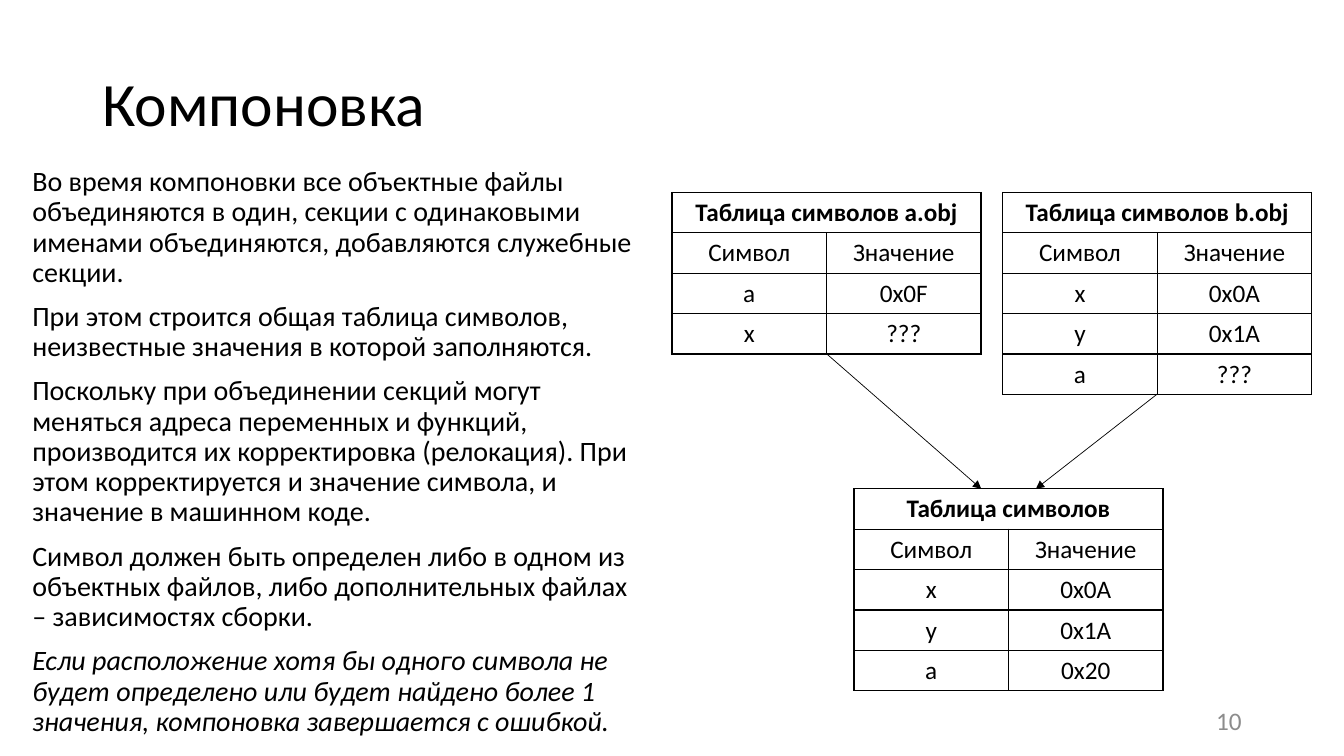
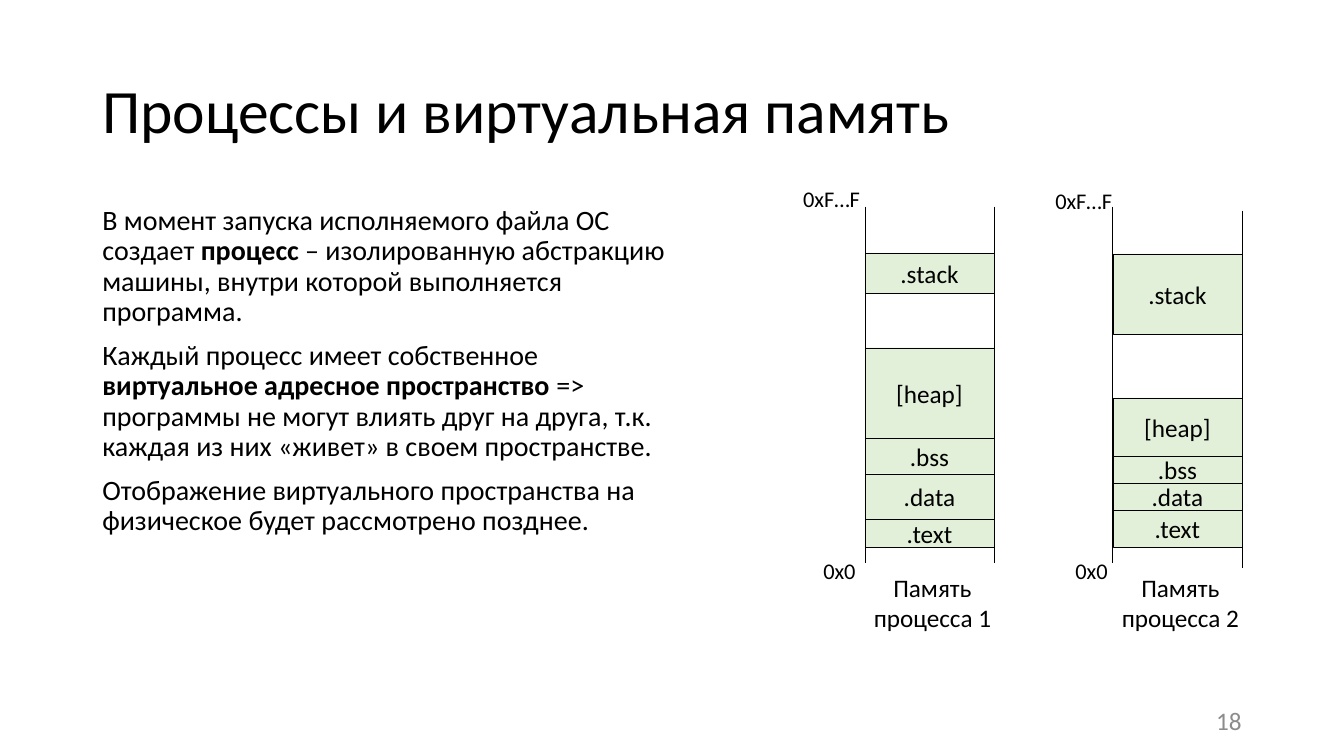
from lxml.etree import SubElement
from pptx import Presentation
from pptx.dml.color import RGBColor
from pptx.enum.shapes import MSO_CONNECTOR, MSO_SHAPE
from pptx.enum.text import MSO_ANCHOR, MSO_AUTO_SIZE, PP_ALIGN
from pptx.oxml.ns import qn
from pptx.util import Pt

COLORS = {"text": "000000", "line": "000000", "number": "8C8C8C",
          "segment": "E2F0D9", "page": "FFFFFF"}
FONT = "Calibri"

PLAIN = {}
BOLD = {"bold": True}
ITALIC = {"italic": True}

LEFT = {"alignment": PP_ALIGN.LEFT}
CENTER = {"alignment": PP_ALIGN.CENTER}
RIGHT = {"alignment": PP_ALIGN.RIGHT}
TITLE = {"line_spacing": 0.9}
BODY = {"line_spacing": 0.9, "space_before": Pt(10)}

MIDDLE = {"word_wrap": True, "vertical_anchor": MSO_ANCHOR.MIDDLE}
TOP = {"word_wrap": True, "vertical_anchor": MSO_ANCHOR.TOP}
GROW = {"word_wrap": True, "auto_size": MSO_AUTO_SIZE.SHAPE_TO_FIT_TEXT}
ONE_LINE = {"word_wrap": False, "auto_size": MSO_AUTO_SIZE.SHAPE_TO_FIT_TEXT}

COLUMN_WIDTH = 110.4
ROW_HEIGHT = 28.8
TABLE_WIDTH = 2 * COLUMN_WIDTH
SOURCE_TOP = 137.5
RESULT_LEFT, RESULT_TOP = 610, 349.2
ARROW_SPREAD = 19.5

MEMORY_WIDTH = 92.2
MEMORY_TOP, MEMORY_BOTTOM = 147.6, 402.5
SEGMENTS_BOTTOM = 391

LINKING_TEXT = [
    [("Во время компоновки все объектные файлы объединяются в один, секции с "
      "одинаковыми именами объединяются, добавляются служебные секции.", PLAIN)],
    [("При этом строится общая таблица символов, неизвестные значения в которой "
      "заполняются.", PLAIN)],
    [("Поскольку при объединении секций могут меняться адреса переменных и функций, "
      "производится их корректировка (релокация). При этом корректируется и значение "
      "символа, и значение в машинном коде.", PLAIN)],
    [("Символ должен быть определен либо в одном из объектных файлов, либо "
      "дополнительных файлах – зависимостях сборки.", PLAIN)],
    [("Если расположение хотя бы одного символа не будет определено или будет найдено "
      "более 1 значения, компоновка завершается с ошибкой.", ITALIC)],
]
PROCESS_TEXT = [
    [("В момент запуска исполняемого файла ОС создает ", PLAIN), ("процесс", BOLD),
     (" – изолированную абстракцию машины, внутри которой выполняется программа.", PLAIN)],
    [("Каждый процесс имеет собственное ", PLAIN),
     ("виртуальное адресное пространство ", BOLD),
     ("=> программы не могут влиять друг на друга, т.к. каждая из них «живет» в своем "
      "пространстве.", PLAIN)],
    [("Отображение виртуального пространства на физическое будет рассмотрено позднее.",
      PLAIN)],
]

# Segment heights run upwards from the lowest address; None marks free space.
MEMORIES = [
    {"left": 617.8, "label_gap": 36.8, "label_drop": 0, "rail_drop": 0,
     "caption": "Память процесса 1",
     "segments": [(".text", 20.2), (".data", 32.4), (".bss", 25.2), ("[heap]", 64.8),
                  (None, 38.9), (".stack", 28.8)]},
    {"left": 794.9, "label_gap": 33.8, "label_drop": 1.4, "rail_drop": 2.9,
     "caption": "Память процесса 2",
     "segments": [(".text", 26.6), (".data", 19.4), (".bss", 19), ("[heap]", 41.8),
                  (None, 45.2), (".stack", 57.6)]},
]


def color(name):
    return RGBColor.from_string(COLORS[name])


def apply_format(target, values):
    for name, value in values.items():
        setattr(target, name, value)


def write(frame, paragraphs, size, layout, ink="text"):
    """Fill a text frame; each paragraph is a list of (text, font format)."""
    for index, spans in enumerate(paragraphs):
        para = frame.paragraphs[0] if index == 0 else frame.add_paragraph()
        apply_format(para, layout)
        for text, style in spans:
            span = para.add_run()
            span.text = text
            apply_format(span.font, {"name": FONT, "size": Pt(size), **style})
            span.font.color.rgb = color(ink)


def add_text(page, place, paragraphs, size, layout, frame_format, ink="text"):
    box = page.shapes.add_textbox(*map(Pt, place))
    apply_format(box.text_frame, frame_format)
    write(box.text_frame, paragraphs, size, layout, ink)


def add_page(deck, title, title_top, number):
    page = deck.slides.add_slide(deck.slide_layouts[6])
    page.background.fill.solid()
    page.background.fill.fore_color.rgb = color("page")
    add_text(page, (66, title_top, 828, 104.4), [[(title, PLAIN)]], 44, TITLE, MIDDLE)
    add_text(page, (678, 500.4, 216, 28.8), [[(number, PLAIN)]], 18, RIGHT, MIDDLE, "number")
    return page


def add_line(page, start, end, arrow=False):
    line = page.shapes.add_connector(MSO_CONNECTOR.STRAIGHT, *map(Pt, (*start, *end)))
    line.line.color.rgb = color("line")
    line.line.width = Pt(0.5)
    properties = line._element.spPr
    if arrow:
        SubElement(properties.find(qn("a:ln")), qn("a:tailEnd"), type="triangle")
    SubElement(properties, qn("a:effectLst"))
    return line


def outline_cell(cell):
    properties = cell._tc.get_or_add_tcPr()
    for side in ("lnL", "lnR", "lnT", "lnB"):
        border = SubElement(properties, qn(f"a:{side}"), w=str(Pt(1)))
        fill = SubElement(border, qn("a:solidFill"))
        SubElement(fill, qn("a:srgbClr"), val=COLORS["line"])


def add_symbol_table(page, left, top, heading, symbols):
    rows = [(heading, ""), ("Символ", "Значение"), *symbols]
    frame = page.shapes.add_table(len(rows), 2, Pt(left), Pt(top), Pt(TABLE_WIDTH),
                                  Pt(ROW_HEIGHT * len(rows)))
    table = frame.table
    apply_format(table, {"first_row": False, "horz_banding": False})
    table.cell(0, 0).merge(table.cell(0, 1))
    for row_index, row in enumerate(rows):
        for column_index, text in enumerate(row):
            cell = table.cell(row_index, column_index)
            outline_cell(cell)
            cell.fill.background()
            if text:
                style = PLAIN if row_index else BOLD
                write(cell.text_frame, [[(text, style)]], 18, CENTER)
    return frame


def add_segment(page, left, top, height, name):
    segment = page.shapes.add_shape(MSO_SHAPE.RECTANGLE, Pt(left), Pt(top),
                                    Pt(MEMORY_WIDTH), Pt(height))
    segment.shadow.inherit = False
    segment.fill.solid()
    segment.fill.fore_color.rgb = color("segment")
    segment.line.color.rgb = color("line")
    segment.line.width = Pt(0.25)
    apply_format(segment.text_frame, MIDDLE)
    write(segment.text_frame, [[(name, PLAIN)]], 18, CENTER)


def add_memory(page, memory):
    """Draw one address space: segments, side rails, end addresses and caption."""
    left = memory["left"]
    top = SEGMENTS_BOTTOM
    for name, height in memory["segments"]:
        top -= height
        if name:
            add_segment(page, left, top, height, name)
    for x, drop in ((left, 0), (left + MEMORY_WIDTH, memory["rail_drop"])):
        add_line(page, (x, MEMORY_TOP + drop), (x, MEMORY_BOTTOM + drop))
    low_left = left - memory["label_gap"]
    for text, place in (
        ("0xF…F", (low_left - 14.4, 128.9 + memory["label_drop"], 55.4, 26.6)),
        ("0x0", (low_left, 394.6, 38.2, 26.6)),
    ):
        add_text(page, place, [[(text, PLAIN)]], 16, LEFT, ONE_LINE)
    add_text(page, (left - 2.5, 405.4, 101.5, 50.9), [[(memory["caption"], PLAIN)]],
             18, CENTER, GROW)


def add_linking_page(deck):
    page = add_page(deck, "Компоновка", 23.8, "10")
    add_text(page, (16, 116, 442.8, 420.5), LINKING_TEXT, 20, BODY, TOP)
    sources = [
        (480, "Таблица символов a.obj", [("a", "0x0F"), ("x", "???")], -ARROW_SPREAD),
        (716.2, "Таблица символов b.obj", [("x", "0x0A"), ("y", "0x1A"), ("a", "???")],
         ARROW_SPREAD),
    ]
    add_symbol_table(page, RESULT_LEFT, RESULT_TOP, "Таблица символов",
                     [("x", "0x0A"), ("y", "0x1A"), ("a", "0x20")])
    for left, heading, symbols, shift in sources:
        table = add_symbol_table(page, left, SOURCE_TOP, heading, symbols)
        start = (left + COLUMN_WIDTH, SOURCE_TOP + ROW_HEIGHT * (len(symbols) + 2))
        end = (RESULT_LEFT + COLUMN_WIDTH + shift, RESULT_TOP)
        add_line(page, start, end, arrow=True).begin_connect(table, 2)


def add_process_page(deck):
    page = add_page(deck, "Процессы и виртуальная память", 28.8, "18")
    add_text(page, (66, 144, 426.2, 342.7), PROCESS_TEXT, 20, BODY, TOP)
    for memory in MEMORIES:
        add_memory(page, memory)


def main():
    deck = Presentation()
    deck.slide_width, deck.slide_height = Pt(960), Pt(540)
    add_linking_page(deck)
    add_process_page(deck)
    deck.save("out.pptx")


if __name__ == "__main__":
    main()
